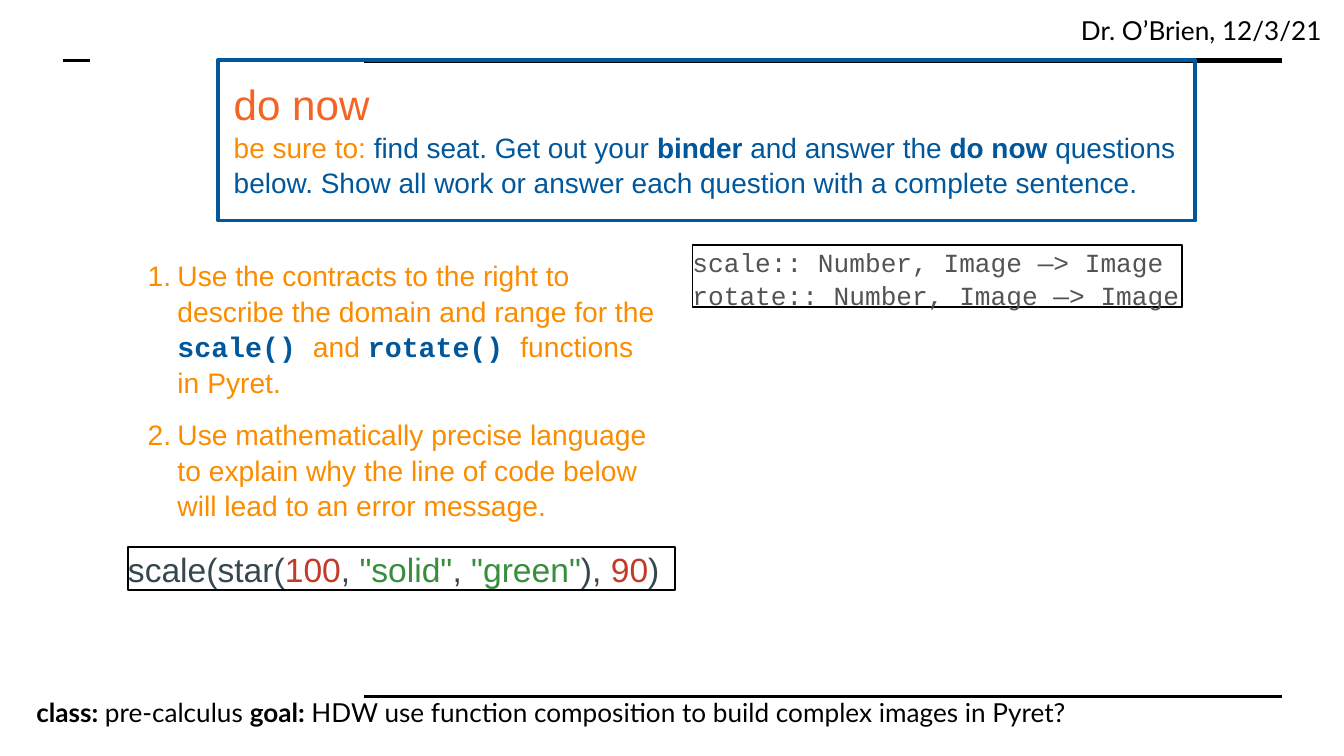
from lxml.etree import SubElement
from pptx import Presentation
from pptx.dml.color import RGBColor
from pptx.enum.shapes import MSO_CONNECTOR, MSO_SHAPE
from pptx.enum.text import MSO_ANCHOR, MSO_AUTO_SIZE, PP_ALIGN
from pptx.oxml.ns import qn
from pptx.util import Pt

BLACK, BLUE, ORANGE, CORAL = "000000", "01579B", "FB8C00", "F46524"
SLATE, RED, GREEN, GREY = "37474F", "C53929", "388E3C", "535353"
SANS, MONO, LATO = "Arial", "Courier New", "Lato"

# Content: each run is (text, color, bold, other format values)
HEADING = [
    [("do now", CORAL, False, {"size": Pt(22.6)})],
    [("be sure to: ", ORANGE, False),
     ("find seat. Get out your ", BLUE, False),
     ("binder ", BLUE, True),
     ("and answer the ", BLUE, False),
     ("do now", BLUE, True),
     (" questions below. Show all work or answer each question "
      "with a complete sentence.", BLUE, False)],
]
QUESTIONS = [
    [("Use the contracts to the right to describe the domain and range "
      "for the ", ORANGE, False),
     ("scale() ", BLUE, True, {"name": MONO}),
     ("and ", ORANGE, False),
     ("rotate() ", BLUE, True, {"name": MONO}),
     ("functions in Pyret.", ORANGE, False)],
    [("Use mathematically precise language to explain why the line of code "
      "below will lead to an error message.", ORANGE, False)],
]
CODE = [[("scale(star(", SLATE, False), ("100", RED, False),
         (", ", SLATE, False), ('"solid"', GREEN, False),
         (", ", SLATE, False), ('"green"', GREEN, False),
         ("), ", SLATE, False), ("90", RED, False), (")", SLATE, False)]]
CONTRACTS = [[("scale:: Number, Image —> Image", GREY, False)],
             [("rotate:: Number, Image —> Image", GREY, False)]]
GOAL = [[("class: ", BLACK, True), ("pre-calculus ", BLACK, False),
         ("goal: ", BLACK, True),
         ("HDW use function composition to build complex images in Pyret?",
          BLACK, False)]]
BYLINE = [[("Dr. O’Brien, 12/3/21", BLACK, False)]]

# Rules: left, right, top, weight
RULES = [(195, 687, 32.4, 3), (195, 687, 373, 1.5), (33.6, 48, 32.4, 1.5)]


def color(value):
    return RGBColor.from_string(value)


def place(sp, left, top, width, height):
    box = {"left": left, "top": top, "width": width, "height": height}
    for name, value in box.items():
        setattr(sp, name, Pt(value))


def write(sp, paragraphs, font, size, inset=7.2, spacing=None, gap=0,
          wrap=True, numbered=False, anchor=MSO_ANCHOR.TOP):
    tf = sp.text_frame
    frame = {"auto_size": MSO_AUTO_SIZE.NONE, "word_wrap": wrap,
             "vertical_anchor": anchor}
    for side in ("left", "top", "right", "bottom"):
        frame["margin_" + side] = Pt(inset)
    for name, value in frame.items():
        setattr(tf, name, value)
    for i, runs in enumerate(paragraphs):
        p = tf.add_paragraph() if i else tf.paragraphs[0]
        p.alignment = PP_ALIGN.LEFT
        p.space_before = Pt(gap if i else 0)
        if spacing:
            p.line_spacing = spacing
        if numbered:
            pPr = p._p.get_or_add_pPr()
            pPr.set("marL", str(Pt(16)))
            pPr.set("indent", str(Pt(-16)))
            SubElement(pPr, qn("a:buAutoNum"), type="arabicPeriod")
        for text, ink, bold, *extra in runs:
            r = p.add_run()
            r.text = text
            values = {"name": font, "size": Pt(size), "bold": bold}
            for part in extra:
                values.update(part)
            for name, value in values.items():
                setattr(r.font, name, value)
            r.font.color.rgb = color(ink)


def add_text(s, box, paragraphs, font, size, **options):
    sp = s.shapes.add_textbox(*map(Pt, box))
    write(sp, paragraphs, font, size, **options)


def add_frame(s, box, ink, weight):
    sp = s.shapes.add_shape(MSO_SHAPE.RECTANGLE, *map(Pt, box))
    sp.shadow.inherit = False
    sp.fill.background()
    sp.line.color.rgb = color(ink)
    sp.line.width = Pt(weight)
    return sp


def add_rule(s, left, right, top, weight):
    line = s.shapes.add_connector(MSO_CONNECTOR.STRAIGHT, Pt(left), Pt(top),
                                  Pt(right), Pt(top))
    line.line.color.rgb = color(BLACK)
    line.line.width = Pt(weight)
    SubElement(line._element.spPr, qn("a:effectLst"))


def main():
    prs = Presentation()
    prs.slide_width, prs.slide_height = Pt(720), Pt(405)
    s = prs.slides.add_slide(prs.slide_layouts[5])

    # Page rules, footer and byline
    for rule in RULES:
        add_rule(s, *rule)
    add_text(s, (12.4, 366, 673, 31.5), GOAL, LATO, 14)
    add_text(s, (572, 0.7, 148, 31.5), BYLINE, LATO, 14, wrap=False)

    # Heading in its blue frame
    add_frame(s, (116.9, 32.2, 523.5, 86), BLUE, 2)
    place(s.shapes.title, 118, 33.2, 521.5, 84)
    write(s.shapes.title, HEADING, SANS, 15, spacing=1.05)

    # Numbered questions
    add_text(s, (72, 130.3, 286.6, 150.5), QUESTIONS, SANS, 15.1,
             spacing=1.05, gap=9, numbered=True)

    # Framed code line and contracts
    code = add_frame(s, (68.6, 293, 293, 23), BLACK, 1)
    write(code, CODE, SANS, 18, inset=0, spacing=1.05,
          anchor=MSO_ANCHOR.MIDDLE)
    contracts = add_frame(s, (371, 131.2, 262.5, 33.2), BLACK, 1)
    write(contracts, CONTRACTS, MONO, 14, inset=0, spacing=1.05, wrap=False)

    prs.save("out.pptx")


if __name__ == "__main__":
    main()
